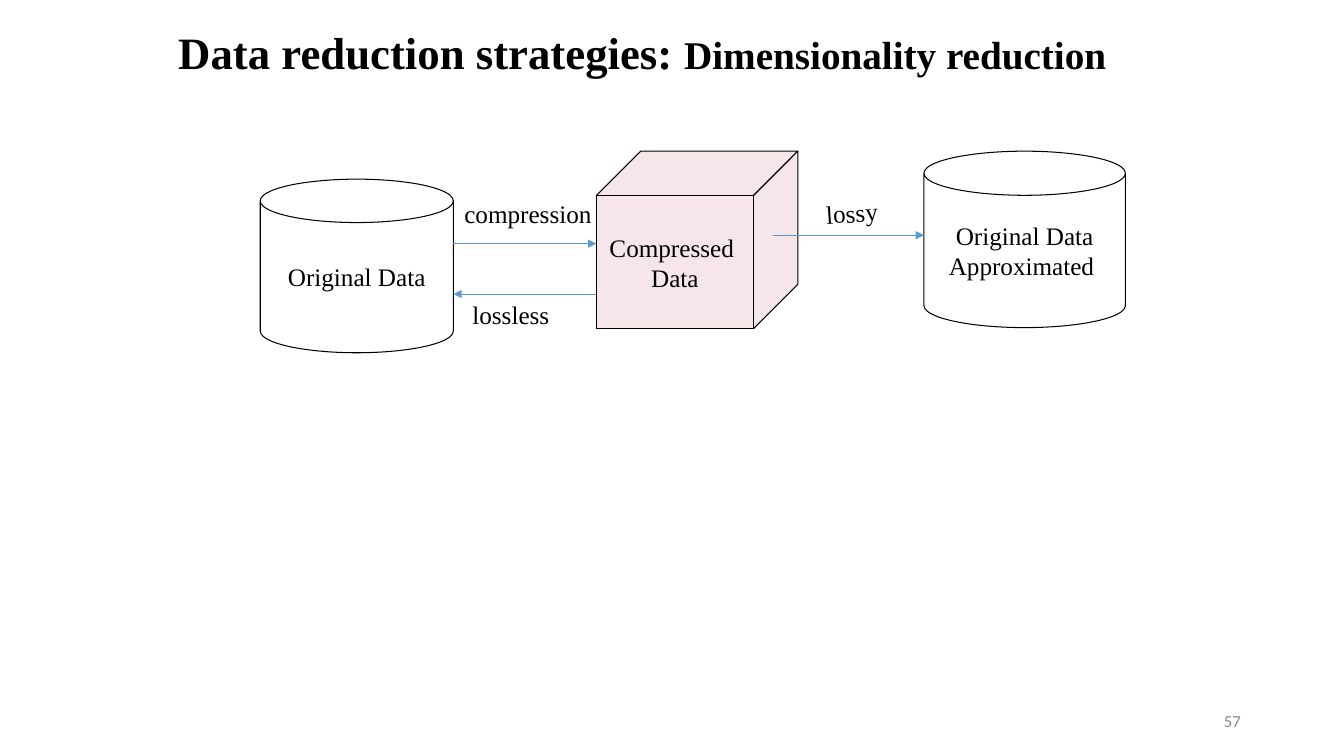
from dataclasses import dataclass

from pptx import Presentation, util as u
from pptx.dml.color import RGBColor
from pptx.enum import shapes, text
from pptx.oxml import ns
from lxml import etree

Pt = u.Pt
MIDDLE = text.MSO_ANCHOR.MIDDLE
ALIGN = text.PP_ALIGN
FIT = text.MSO_AUTO_SIZE


@dataclass(frozen=True)
class Theme:
    ink: str = "000000"
    paper: str = "FFFFFF"
    pink: str = "F6E6EA"
    arrow: str = "5B9BD5"
    grey: str = "898989"
    serif: str = "Times New Roman"
    sans: str = "Calibri"
    title: int = 32
    subtitle: int = 28
    body: int = 18
    small: int = 12


THEME = Theme()


def write(sp, lines, align=ALIGN.LEFT, anchor=text.MSO_ANCHOR.TOP, wrap=False,
          fit=FIT.NONE, font=THEME.serif, color=THEME.ink, bold=False, spacing=None):
    """Fill a shape with paragraphs, each a list of (wording, size) runs."""
    tf = sp.text_frame
    frame = {"word_wrap": wrap, "auto_size": fit, "vertical_anchor": anchor,
             "margin_left": Pt(7.2), "margin_right": Pt(7.2),
             "margin_top": Pt(3.6), "margin_bottom": Pt(3.6)}
    for name, value in frame.items():
        setattr(tf, name, value)
    for i, runs in enumerate(lines):
        p = tf.paragraphs[0] if i == 0 else tf.add_paragraph()
        p.alignment = align
        p.line_spacing = spacing
        for wording, size in runs:
            r = p.add_run()
            r.text = wording
            for name, value in {"name": font, "size": Pt(size), "bold": bold}.items():
                setattr(r.font, name, value)
            r.font.color.rgb = RGBColor.from_string(color)


def add_text(s, box, lines, rotation=0, **style):
    sp = s.shapes.add_textbox(*map(Pt, box))
    sp.rotation = rotation
    write(sp, lines, **style)


def add_label(s, box, wording, rotation=0):
    add_text(s, box, [[(wording, THEME.body)]], rotation, fit=FIT.SHAPE_TO_FIT_TEXT)


def paint(sp, fill):
    sp.shadow.inherit = False
    sp.fill.solid()
    sp.fill.fore_color.rgb = RGBColor.from_string(fill)
    sp.line.color.rgb = RGBColor.from_string(THEME.ink)
    sp.line.width = Pt(0.75)


def add_node(s, kind, box, fill, lines):
    sp = s.shapes.add_shape(kind, *map(Pt, box))
    paint(sp, fill)
    write(sp, [[(line, THEME.body)] for line in lines], ALIGN.CENTER, MIDDLE)


def add_face(s, points, fill):
    start, *rest = [(Pt(x), Pt(y)) for x, y in points]
    builder = s.shapes.build_freeform(*start)
    builder.add_line_segments(rest, close=True)
    paint(builder.convert_to_shape(), fill)


def add_cube(s, box, depth, fill, lines):
    """Draw a cube whose three faces share one fill, with text on the front."""
    x, y, w, h = box
    left, right, back = x, x + w - depth, x + w
    front, bottom = y + depth, y + h
    add_face(s, [(left, front), (left + depth, y), (back, y), (right, front)], fill)
    add_face(s, [(right, front), (back, y), (back, bottom - depth), (right, bottom)], fill)
    add_node(s, shapes.MSO_SHAPE.RECTANGLE,
             (left, front, w - depth, h - depth), fill, lines)


def add_arrow(s, x1, x2, y):
    c = s.shapes.add_connector(shapes.MSO_CONNECTOR.STRAIGHT, *map(Pt, (x1, y, x2, y)))
    c.line.color.rgb = RGBColor.from_string(THEME.arrow)
    c.line.width = Pt(0.5)
    etree.SubElement(c.line._get_or_add_ln(), ns.qn("a:tailEnd"), type="triangle")
    etree.SubElement(c._element.spPr, ns.qn("a:effectLst"))


def main():
    prs = Presentation()
    prs.slide_width, prs.slide_height = Pt(960.48), Pt(540)
    s = prs.slides.add_slide(prs.slide_layouts[6])

    add_text(s, (678, 500.4, 216, 28.8), [[("57", THEME.small)]], align=ALIGN.RIGHT,
             anchor=MIDDLE, wrap=True, font=THEME.sans, color=THEME.grey)
    add_text(s, (120.3, 0, 720, 78),
             [[("Data reduction strategies: ", THEME.title),
               ("Dimensionality reduction", THEME.subtitle)]],
             anchor=MIDDLE, wrap=True, bold=True, spacing=0.9)

    can = shapes.MSO_SHAPE.CAN
    add_node(s, can, (186, 128, 138, 124), THEME.paper, ["Original Data"])
    add_cube(s, (426.2, 108, 144, 126.8), 31.7, THEME.pink, ["Compressed ", "Data"])
    add_node(s, can, (660.3, 108, 144, 126), THEME.paper,
             ["Original Data", "Approximated "])

    for x1, x2, y in ((324, 426.2, 174), (426.2, 324, 210), (552.2, 660.3, 168)):
        add_arrow(s, x1, x2, y)

    add_label(s, (324.7, 138.2, 106, 28.8), "compression")
    add_label(s, (330.5, 210.2, 70, 28.8), "lossless")
    add_label(s, (583.2, 137.5, 52, 28.8), "lossy", rotation=-3.7)

    prs.save("out.pptx")


if __name__ == "__main__":
    main()
